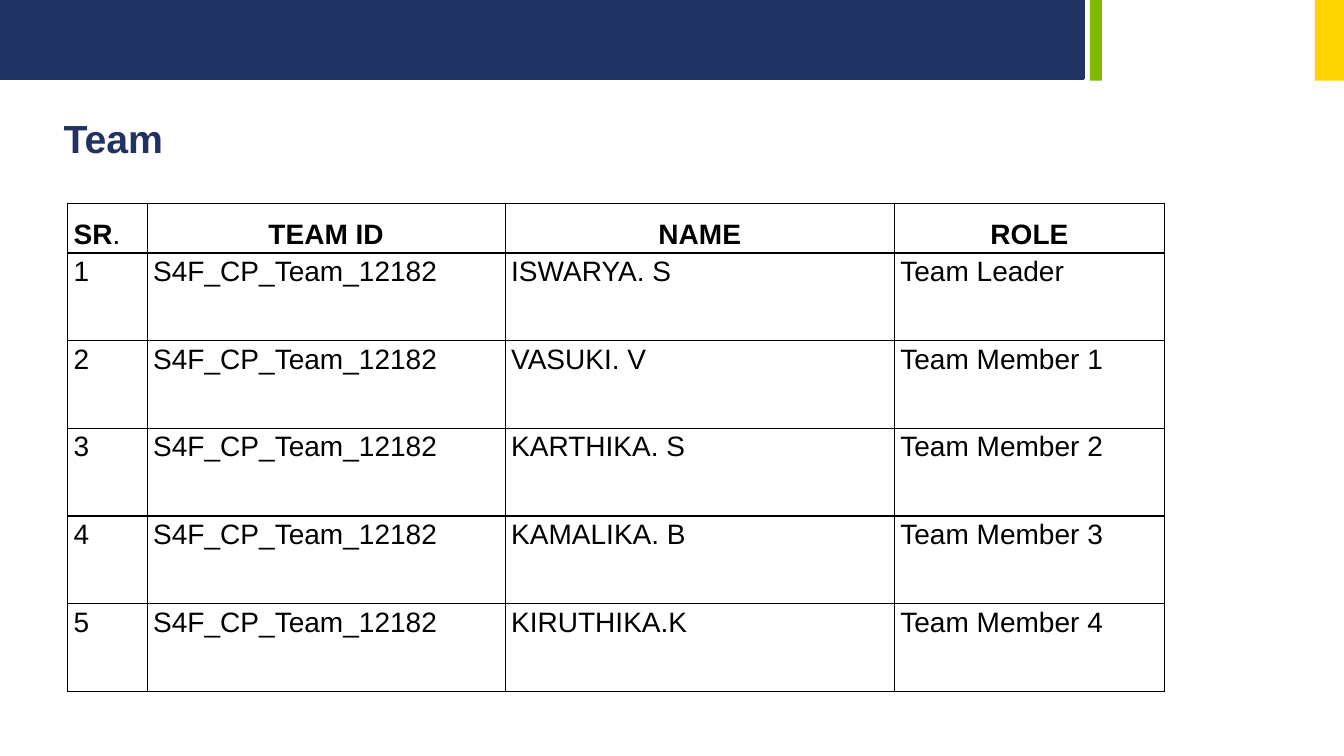
from lxml.etree import SubElement
from pptx import Presentation
from pptx.dml.color import RGBColor
from pptx.enum.shapes import MSO_SHAPE
from pptx.enum.text import MSO_ANCHOR, MSO_AUTO_SIZE, PP_ALIGN
from pptx.oxml import parse_xml
from pptx.oxml.ns import nsdecls, qn
from pptx.util import Emu, Pt

EMU_PER_PX = 9144  # 100 px to the inch
COLORS = {"navy": "213264", "title": "213163", "green": "7FBA00",
          "yellow": "FED500", "black": "000000"}


def px(length):
    return Emu(length * EMU_PER_PX)


def apply_format(target, values):
    for attribute, value in values.items():
        setattr(target, attribute, value)


class TeamSlide:
    TITLE_FONT = {"name": "Arial", "size": Pt(28), "bold": True}
    TABLE_FONT = {"name": "Arial", "size": Pt(20)}
    CELL = {"margin_left": px(6), "margin_right": px(6),
            "margin_top": px(3), "margin_bottom": px(3)}

    def __init__(self, deck):
        self.slide = deck.slides.add_slide(deck.slide_layouts[5])

    def color(self, name):
        return RGBColor.from_string(COLORS[name])

    def band(self, left, width, height, color, outline=0):
        band = self.slide.shapes.add_shape(
            MSO_SHAPE.RECTANGLE, px(left), 0, px(width), px(height))
        band.shadow.inherit = False
        band.fill.solid()
        band.fill.fore_color.rgb = self.color(color)
        if outline:
            band.line.color.rgb = self.color(color)
            band.line.width = Pt(outline)
        else:
            band.line.fill.background()

    def add_text(self, paragraph, text, font, color):
        run = paragraph.add_run()
        run.text = text
        apply_format(run.font, font)
        run.font.color.rgb = self.color(color)

    def title(self, left, top, width, height, text):
        heading = self.slide.shapes.title
        apply_format(heading, {"left": px(left), "top": px(top),
                               "width": px(width), "height": px(height)})
        apply_format(heading.text_frame, {
            "word_wrap": False, "auto_size": MSO_AUTO_SIZE.SHAPE_TO_FIT_TEXT,
            "vertical_anchor": MSO_ANCHOR.TOP})
        paragraph = heading.text_frame.paragraphs[0]
        paragraph.alignment = PP_ALIGN.LEFT
        self.add_text(paragraph, text, self.TITLE_FONT, "title")

    def borders(self, cell):
        properties = cell._tc.get_or_add_tcPr()
        for position, side in enumerate(("lnL", "lnR", "lnT", "lnB")):
            line = parse_xml(f'<a:{side} {nsdecls("a")} w="{Pt(1)}"/>')
            fill = SubElement(line, qn("a:solidFill"))
            SubElement(fill, qn("a:srgbClr"), val=COLORS["black"])
            properties.insert(position, line)

    def cell(self, cell, runs, alignment, anchor):
        apply_format(cell, {**self.CELL, "vertical_anchor": anchor})
        cell.fill.background()
        self.borders(cell)
        paragraph = cell.text_frame.paragraphs[0]
        paragraph.alignment = alignment
        for text, bold in runs:
            self.add_text(paragraph, text, {**self.TABLE_FONT, "bold": bold}, "black")

    def table(self, left, top, widths, heights, header, members):
        table = self.slide.shapes.add_table(
            len(heights), len(widths), px(left), px(top),
            px(sum(widths)), px(sum(heights))).table
        apply_format(table, {"first_row": False, "horz_banding": False})
        for column, width in zip(table.columns, widths):
            column.width = px(width)
        for row, height in zip(table.rows, heights):
            row.height = px(height)
        for index, runs in enumerate(header):
            alignment = PP_ALIGN.CENTER if index else PP_ALIGN.LEFT
            self.cell(table.cell(0, index), runs, alignment, MSO_ANCHOR.BOTTOM)
        for number, member in enumerate(members, 1):
            for index, text in enumerate(member):
                self.cell(table.cell(number, index), [(text, False)],
                          PP_ALIGN.LEFT, MSO_ANCHOR.TOP)


def main():
    deck = Presentation()
    apply_format(deck, {"slide_width": px(1333), "slide_height": px(750)})
    team = TeamSlide(deck)

    # Header bands
    team.band(0, 1075, 78, "navy", outline=2)
    team.band(1081, 12, 80, "green")
    team.band(1304, 29, 80, "yellow")

    # Title
    team.title(53, 108, 134, 57, "Team")

    # Team table
    header = [[("SR", True), (".", False)], [("TEAM ID", True)],
              [("NAME", True)], [("ROLE", True)]]
    names = ["ISWARYA. S", "VASUKI. V", "KARTHIKA. S", "KAMALIKA. B", "KIRUTHIKA.K"]
    members = [
        (str(number), "S4F_CP_Team_12182", name,
         f"Team Member {number - 1}" if number > 1 else "Team Leader")
        for number, name in enumerate(names, 1)]
    team.table(67, 202, [79, 355, 386, 268], [49] + [87] * len(members),
               header, members)

    deck.save("out.pptx")


if __name__ == "__main__":
    main()
